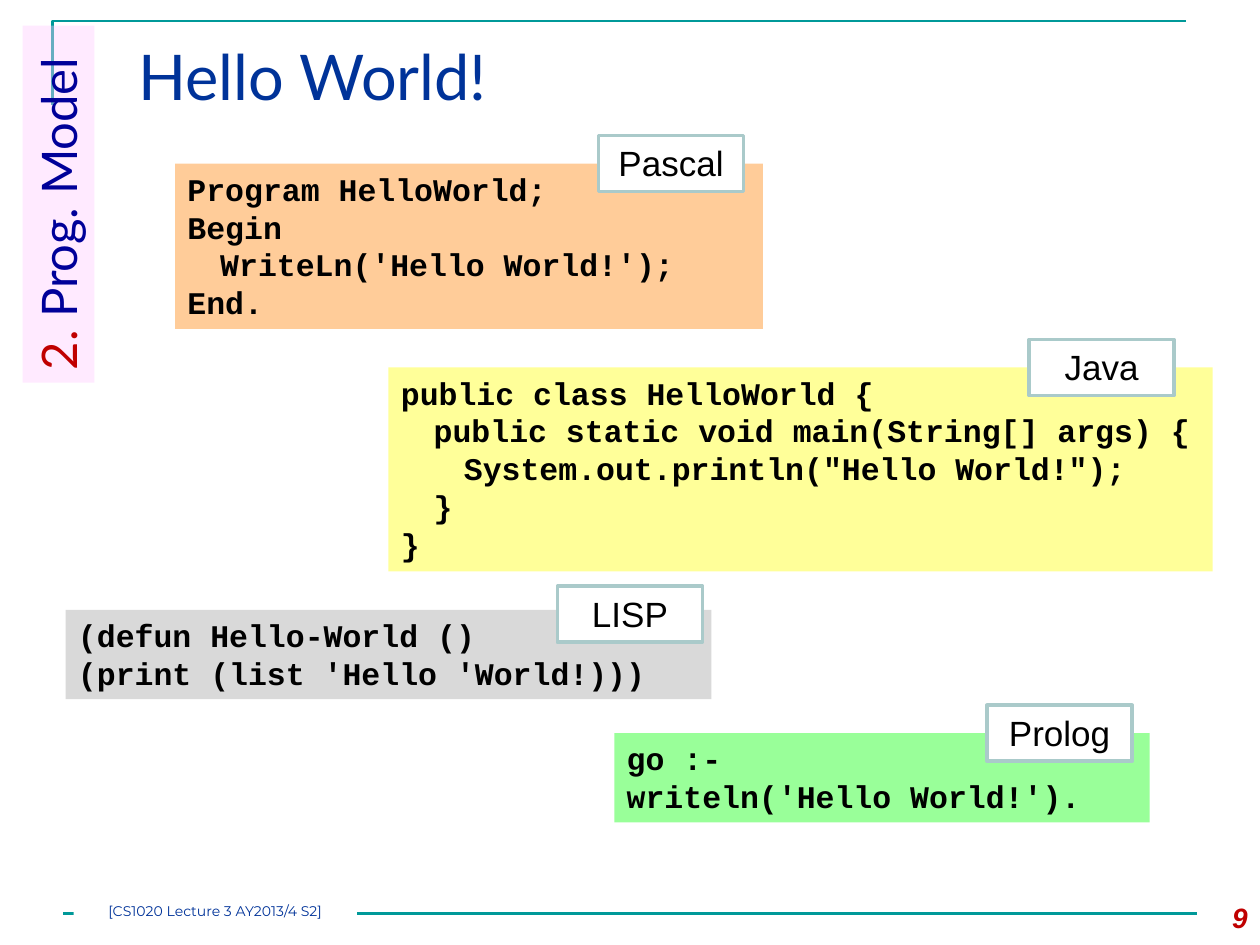
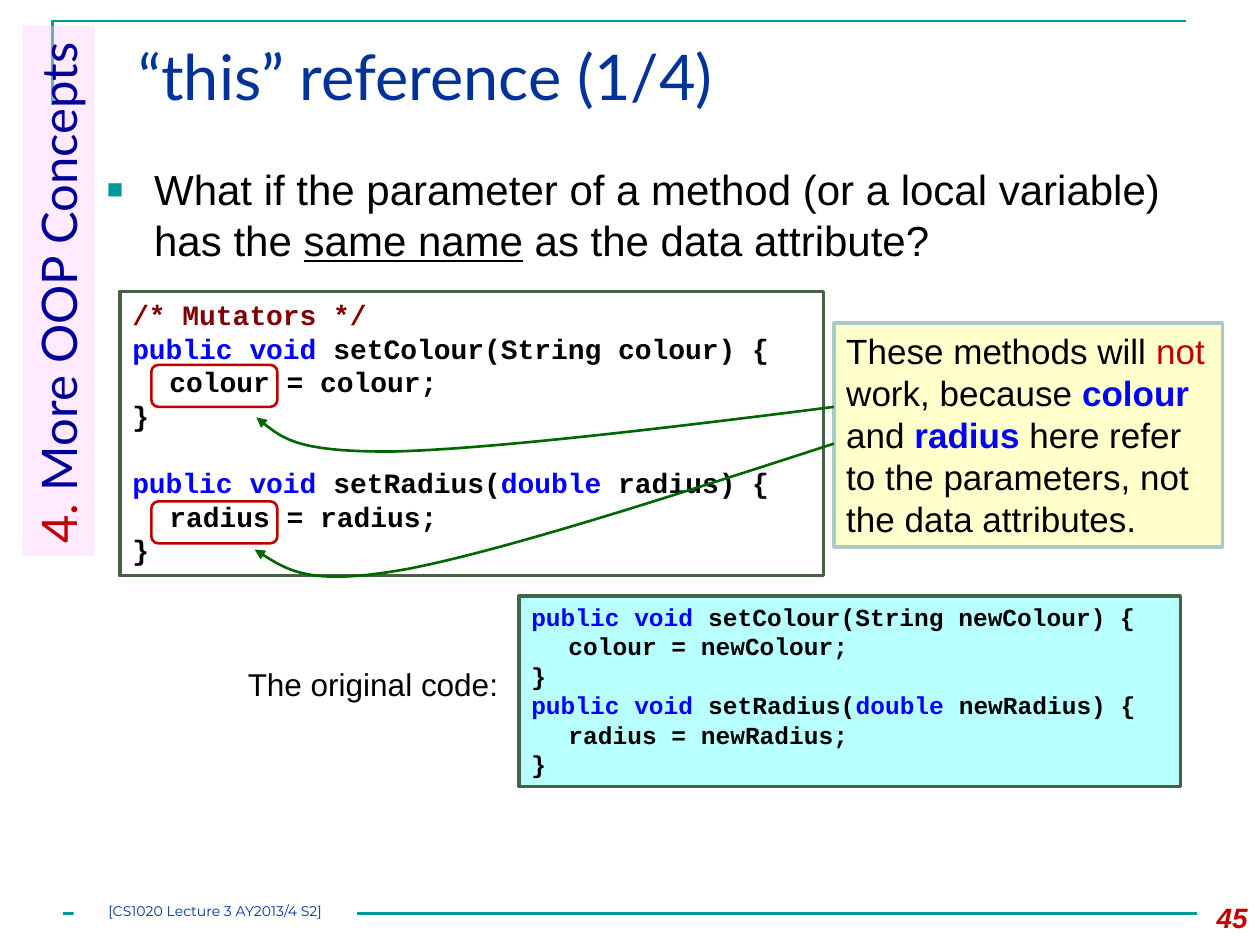
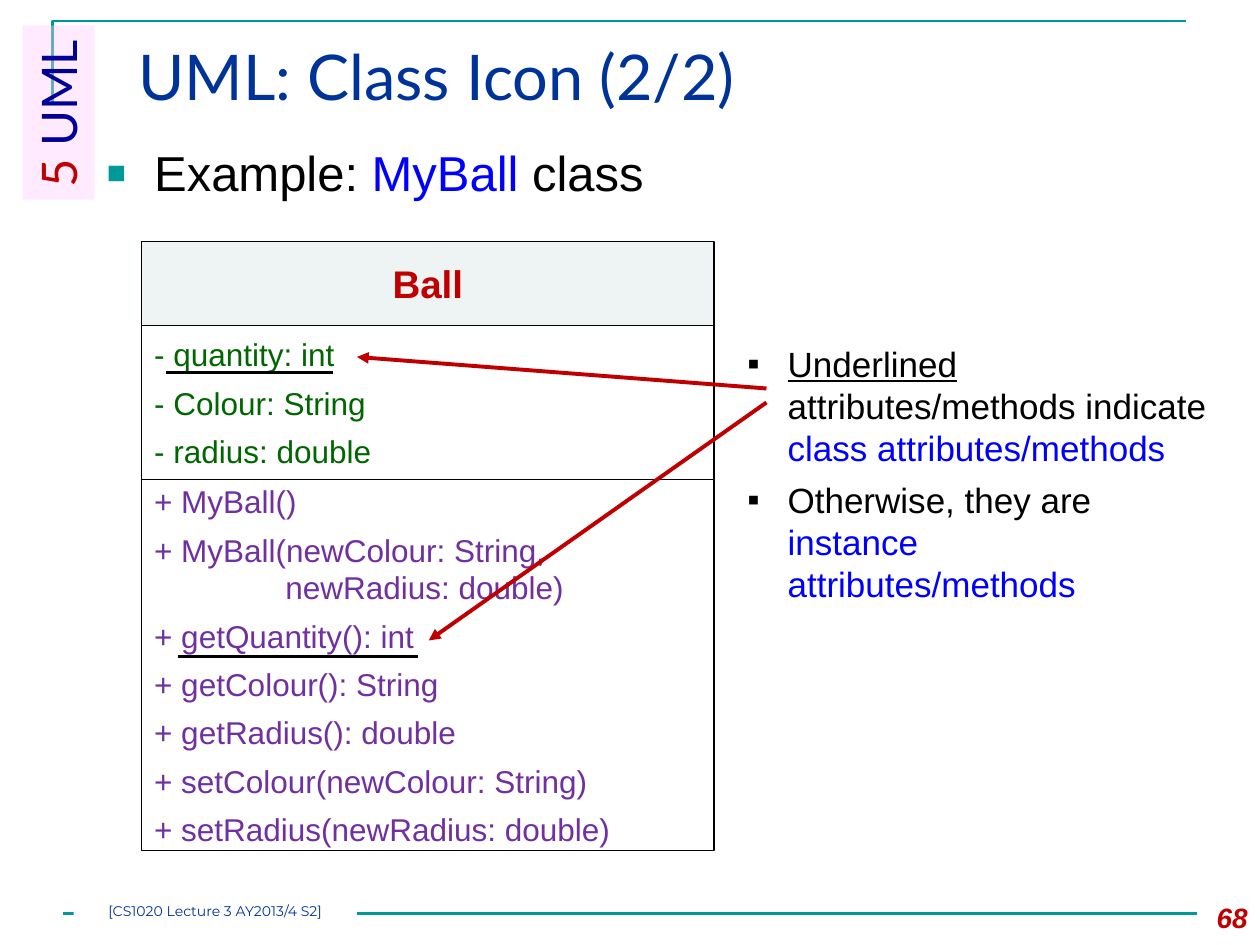
from dataclasses import dataclass
from lxml.etree import SubElement
from pptx import Presentation
from pptx.dml.color import RGBColor
from pptx.enum.shapes import MSO_CONNECTOR, MSO_SHAPE
from pptx.enum.text import MSO_ANCHOR, PP_ALIGN
from pptx.oxml.ns import qn
from pptx.util import Pt


@dataclass(frozen=True)
class Theme:
    """Colours, fonts and type sizes of the deck."""
    teal: str = "009999"
    navy: str = "003399"
    ink: str = "000099"
    red: str = "C00000"
    blue: str = "0000FF"
    green: str = "006600"
    plum: str = "7030A0"
    maroon: str = "800000"
    black: str = "000000"
    white: str = "FFFFFF"
    pink: str = "FFCCFF"
    cream: str = "FFFFCC"
    aqua: str = "B8FFFF"
    mist: str = "EEF4F4"
    edge: str = "AACACA"
    moss: str = "446246"
    peach: str = "FFCC99"
    lemon: str = "FFFF99"
    gray: str = "D9D9D9"
    lime: str = "99FF99"
    sans: str = "Arial"
    mono: str = "Courier New"
    head: str = "Lato"
    small: str = "Montserrat"
    title: int = 36
    tab: int = 28
    lead: int = 24
    name: int = 22
    note: int = 20
    text: int = 18
    code: int = 16
    tight: int = 14
    foot: int = 8


T = Theme()
KEY = {"color": T.blue}
STOPS = (21.25, 42.5, 63.75, 85, 106.25)


def tint(color):
    """Turn a hex string into a colour."""
    return RGBColor.from_string(color)


def node(parent, tag, **attrs):
    """Append a drawing element with its attributes."""
    return SubElement(parent, qn(tag), {k: str(v) for k, v in attrs.items()})


def style(run, size, font, color, bold=False, italic=False, under=False):
    """Set the font of one run."""
    face = run.font
    face.size, face.name, face.color.rgb = Pt(size), font, tint(color)
    face.bold, face.italic, face.underline = bold, italic, under


def write(shape, text, align=PP_ALIGN.LEFT, before=0, after=0, left=0,
          bullet=None, stops=(), size=T.text, font=T.sans, color=T.black, **fmt):
    """Add a paragraph, given as a string or a list of runs."""
    frame = shape.text_frame
    para = frame.add_paragraph() if frame.text else frame.paragraphs[0]
    props = para._p.get_or_add_pPr()
    if left:
        props.set("marL", str(Pt(left)))
        props.set("indent", str(Pt(-left if bullet else 0)))
    if bullet:
        mark, shade, scale = bullet
        node(node(props, "a:buClr"), "a:srgbClr", val=shade)
        node(props, "a:buSzPct", val=scale * 1000)
        node(props, "a:buFont", typeface=T.sans)
        node(props, "a:buChar", char=mark)
    if stops:
        tabs = node(props, "a:tabLst")
        for stop in stops:
            node(tabs, "a:tab", pos=Pt(stop), algn="l")
    para.alignment = align
    para.space_before, para.space_after = Pt(before), Pt(after)
    base = {"size": size, "font": font, "color": color, **fmt}
    for part in [text] if isinstance(text, str) else text:
        words, change = (part, {}) if isinstance(part, str) else part
        run = para.add_run()
        run.text = words
        style(run, **{**base, **change})


def paint(shape, fill=None, line=None, width=1.5):
    """Set fill and outline and drop the shadow."""
    shape.shadow.inherit = False
    if fill:
        shape.fill.solid()
        shape.fill.fore_color.rgb = tint(fill)
    else:
        shape.fill.background()
    if line:
        shape.line.color.rgb = tint(line)
        shape.line.width = Pt(width)
    else:
        shape.line.fill.background()
    return shape


def setup(shape, anchor=MSO_ANCHOR.TOP, inset=None):
    """Make the text of a shape wrap and sit at its anchor."""
    frame = shape.text_frame
    frame.word_wrap, frame.vertical_anchor = True, anchor
    if inset is not None:
        frame.margin_left = frame.margin_right = Pt(inset)
        frame.margin_top = frame.margin_bottom = Pt(inset)
    return shape


def block(slide, box, fill=None, line=None, width=1.5, kind=MSO_SHAPE.RECTANGLE, **lay):
    """Draw a preset shape ready for text."""
    shape = slide.shapes.add_shape(kind, *map(Pt, box))
    return setup(paint(shape, fill, line, width), **lay)


def label(slide, box):
    """Add an empty text box that wraps."""
    return setup(slide.shapes.add_textbox(*map(Pt, box)))


def point(shape):
    """Put an arrowhead at the end of a line."""
    node(shape.line._get_or_add_ln(), "a:tailEnd", type="triangle")


def rule(slide, start, end, color=T.black, width=1.5, arrow=False):
    """Draw a straight line, with an arrowhead if asked."""
    line = slide.shapes.add_connector(MSO_CONNECTOR.STRAIGHT, *map(Pt, start + end))
    line.line.color.rgb, line.line.width = tint(color), Pt(width)
    if arrow:
        point(line)
    node(line._element.spPr, "a:effectLst")


def trace(slide, spots, color):
    """Draw an open outline through the spots."""
    first, *rest = [(Pt(x), Pt(y)) for x, y in spots]
    pen = slide.shapes.build_freeform(*first)
    pen.add_line_segments(rest, close=False)
    return paint(pen.convert_to_shape(), line=color)


def curve(slide, spots, color):
    """Draw a smooth arrow whose spots are Bézier points."""
    shape = trace(slide, spots, color)
    track = shape._element.find(".//" + qn("a:path"))
    steps = track.findall(qn("a:lnTo"))
    for i in range(0, len(steps), 3):
        bend = node(track, "a:cubicBezTo")
        for step in steps[i:i + 3]:
            bend.append(step[0])
            track.remove(step)
    point(shape)


def frame(deck, title, page):
    """Start a slide with its lines, title, number and footer."""
    slide = deck.slides.add_slide(deck.slide_layouts[6])
    trace(slide, [(30, 60), (30, 12), (678, 12)], T.teal)
    rule(slide, (36, 522), (684, 522), T.teal)
    write(label(slide, (72, 18, 630, 62)), title, size=T.title, font=T.head, color=T.navy)
    write(label(slide, (672, 511, 48, 29)), str(page), align=PP_ALIGN.RIGHT,
          size=T.code, color=T.red, bold=True, italic=True)
    foot = block(slide, (42, 516, 162, 12), T.white, inset=0)
    write(foot, "[CS1020 Lecture 3 AY2013/4 S2]", align=PP_ALIGN.CENTER,
          size=T.foot, font=T.small, color=T.navy)
    return slide


def side(slide, num, name, span):
    """Draw the upright section tab down the left edge."""
    left, top, thick = 13, 14.6, 41
    box = (left + (thick - span) / 2, top + (span - thick) / 2, span, thick)
    shape = block(slide, box, T.pink)
    shape.rotation = 270
    shade = shape._element.spPr.find(".//" + qn("a:srgbClr"))
    node(shade, "a:alpha", val=40000)
    write(shape, [(num, {"color": T.red}), " " + name],
          size=T.tab, font=T.head, color=T.ink)


def lead(slide, box, text, size):
    """Write the main bullet of a slide."""
    write(label(slide, box), text, size=size, left=27, bullet=("■", T.teal, 65))


def sample(slide, box, name, shift, fill, lines, rise=16):
    """Draw a code panel with its language tag on the top edge."""
    left, top = box[:2]
    panel = block(slide, box, fill)
    for line in lines:
        write(panel, line, font=T.mono, bold=True, stops=(18.75, 36))
    tag = block(slide, (left + shift, top - rise, 83, 32), T.white, T.edge, 2)
    write(tag, name, align=PP_ALIGN.CENTER, size=T.note)


def setter(kind, name, arg):
    """Return the lines of a setter method."""
    return [[("public void ", KEY), f"set{name.title()}(",
             (kind, KEY if kind == "double" else {}), f" {arg}) {{"],
            f"\t{name} = {arg};", "}"]


def listing(slide, box, lines, size, fill=None, gaps=()):
    """Draw a framed listing, with a gap before some lines."""
    panel = block(slide, box, fill, T.moss, 2)
    for i, line in enumerate(lines):
        write(panel, line, size=size, font=T.mono, bold=True, stops=STOPS,
              before=1.2 * size if i in gaps else 0)


def callout(slide, box):
    """Draw the warning with its rings and curved arrows."""
    left, top = box[:2]
    strong = {"color": T.blue, "bold": True}
    write(block(slide, box, T.cream, T.edge, 2),
          ["These methods will ", ("not ", {"color": T.red}), "work, because ",
           ("colour ", strong), "and ", ("radius", strong),
           " here refer to the parameters, not the data attributes."], size=T.note)
    for drop in (24, 102):
        block(slide, (left - 390, top + drop, 72, 24), line=T.red,
              kind=MSO_SHAPE.ROUNDED_RECTANGLE)
    bends = ([(0, 48), (-98, 60.5), (-196, 72), (-251, 73.5), (-306, 74), (-318, 64), (-330, 54)],
             [(0, 69), (-94, 99.5), (-187, 129.5), (-243, 140.5), (-298, 150.5), (-314, 140.5),
              (-331, 129.5)])
    for bend in bends:
        curve(slide, [(left + x, top + y) for x, y in bend], T.green)


def icon(slide, box, name, fields, acts):
    """Draw a UML class of three stacked parts."""
    left, top, wide, _ = box
    parts = []
    for tall, fill in ((48, T.mist), (88, T.white), (212, T.white)):
        parts.append(block(slide, (left, top, wide, tall), fill, T.black, 0.75,
                           anchor=MSO_ANCHOR.MIDDLE))
        top += tall
    write(parts[0], name, align=PP_ALIGN.CENTER, after=10, size=T.name,
          color=T.red, bold=True)
    for field in fields:
        write(parts[1], field, after=6, color=T.green)
    for act in acts:
        more = act.startswith("newRadius")
        write(parts[2], act, after=0 if act.endswith(",") else 6,
              left=75 if more else 0, color=T.plum)
    for start, end, drop in ((14, 109.5, 75), (21, 158, 237)):
        rule(slide, (left + start, box[1] + drop), (left + end, box[1] + drop))


def legend(slide, box):
    """Write the key to the underlines and point at them."""
    left, top = box[:2]
    body = label(slide, box)
    dot = {"size": T.note, "left": 23, "bullet": ("▪", T.black, 100)}
    write(body, [("Underlined", {"under": True}), " attributes/methods indicate ",
                 ("class attributes/methods", KEY)], **dot)
    write(body, ["Otherwise, they are ", ("instance attributes/methods", KEY)],
          before=6, **dot)
    for start, end in (((18, 30), (-216, 12)), ((18, 38), (-175, 174))):
        rule(slide, (left + start[0], top + start[1]), (left + end[0], top + end[1]),
             T.red, 2.25, arrow=True)


def hello(deck):
    """Build the slide of greetings in four languages."""
    slide = frame(deck, "Hello World!", 9)
    side(slide, "2.", "Prog. Model", 204)
    sample(slide, (100, 93.5, 336, 94.5), "Pascal", 242, T.peach,
           ["Program HelloWorld;", "Begin", "\tWriteLn('Hello World!');", "End."])
    sample(slide, (222, 210, 471, 116.5), "Java", 366, T.lemon,
           ["public class HelloWorld {", "\tpublic static void main(String[] args) {",
            "\t\tSystem.out.println(\"Hello World!\");", "\t}", "}"])
    sample(slide, (37.5, 348.5, 369, 51), "LISP", 281, T.gray,
           ["(defun Hello-World ()", "(print (list 'Hello 'World!)))"], rise=13.5)
    sample(slide, (351, 419, 306, 51), "Prolog", 213, T.lime,
           ["go :-", "writeln('Hello World!')."])


def this(deck):
    """Build the slide on names that clash."""
    slide = frame(deck, "“this” reference (1/4)", 45)
    lead(slide, (54, 90, 630, 76),
         ["What if the parameter of a method (or a local variable) has the ",
          ("same name", {"under": True}), " as the data attribute?"], T.lead)
    side(slide, "4.", "More OOP Concepts", 303)
    clash = setter("String", "colour", "colour") + setter("double", "radius", "radius")
    listing(slide, (68.5, 166.5, 402, 162.5),
            [[("/* Mutators */", {"color": T.maroon})]] + clash, T.code, gaps=(4,))
    callout(slide, (476.5, 184.5, 222, 128))
    clear = setter("String", "colour", "newColour") + setter("double", "radius", "newRadius")
    listing(slide, (296.5, 340.5, 378, 109), clear, T.tight, T.aqua)
    write(label(slide, (134.5, 376.5, 168, 29)), "The original code:")


def uml(deck):
    """Build the slide of the class icon."""
    slide = frame(deck, "UML: Class Icon (2/2)", 68)
    side(slide, "5", "UML", 99.5)
    lead(slide, (54, 78, 420, 51), ["Example: ", ("MyBall", KEY), " class"], T.tab)
    icon(slide, (81, 138, 327, 348), "Ball",
         ["- quantity: int", "- Colour: String", "- radius: double"],
         ["+ MyBall()", "+ MyBall(newColour: String,", "newRadius: double)",
          "+ getQuantity(): int", "+ getColour(): String", "+ getRadius(): double",
          "+ setColour(newColour: String)", "+ setRadius(newRadius: double)"])
    legend(slide, (420, 192, 282, 135))


def main():
    """Build and save the deck."""
    deck = Presentation()
    deck.slide_width, deck.slide_height = Pt(720), Pt(540)
    for make in (hello, this, uml):
        make(deck)
    deck.save("out.pptx")


if __name__ == "__main__":
    main()
